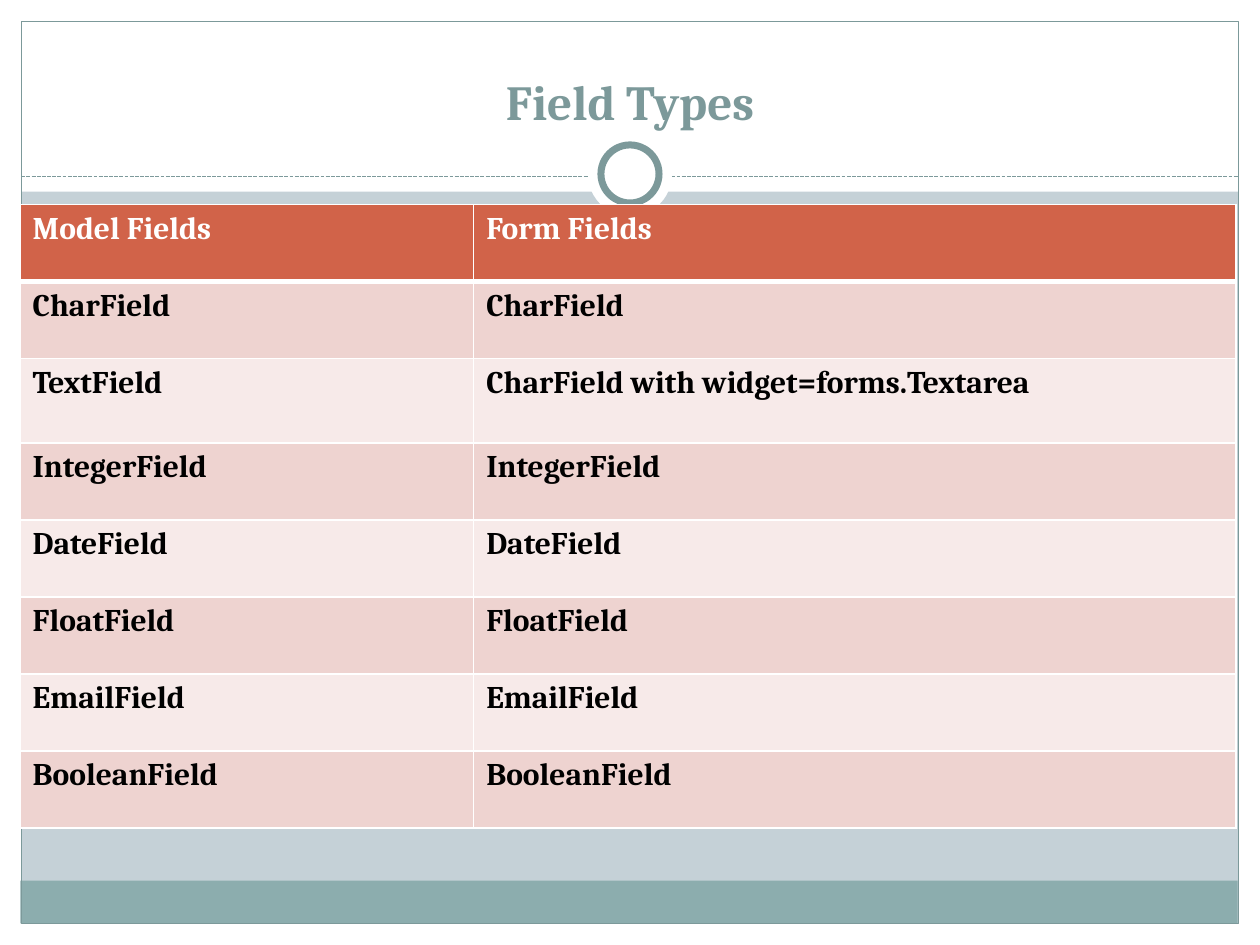
from dataclasses import dataclass
from typing import Optional

from lxml.etree import SubElement
from pptx import Presentation
from pptx.dml.color import RGBColor
from pptx.enum.dml import MSO_LINE
from pptx.enum.shapes import MSO_CONNECTOR, MSO_SHAPE
from pptx.enum.text import MSO_ANCHOR, PP_ALIGN
from pptx.oxml import parse_xml
from pptx.oxml.ns import nsdecls, qn
from pptx.util import Pt

WHITE, BLACK, TEAL, ACCENT = "FFFFFF", "000000", "7C999A", "D16349"
BACKDROP, FOOTER = "C5D1D7", "8CADAE"
BANDS = ("EED3D0", "F7EAE9")
WIDTH, HEIGHT, MARGIN = 720, 540, 12.2

COLUMN_WIDTHS = (259.2, 435.6)
ROW_HEIGHT, TALL_ROW_HEIGHT, TALL_ROW = 44, 48.4, 2
FIELD_TYPES = (
    ("Model Fields", "Form Fields"),
    ("CharField", "CharField"),
    ("TextField", "CharField with widget=forms.Textarea"),
    ("IntegerField", "IntegerField"),
    ("DateField", "DateField"),
    ("FloatField", "FloatField"),
    ("EmailField", "EmailField"),
    ("BooleanField", "BooleanField"),
)


@dataclass
class Panel:
    left: float
    top: float
    width: float
    height: float
    fill: Optional[str] = None
    line: Optional[str] = None
    line_width: float = 0.75
    kind: MSO_SHAPE = MSO_SHAPE.RECTANGLE


INNER_WIDTH = WIDTH - 2 * MARGIN
FRAME_PANELS = (
    Panel(0, HEIGHT - MARGIN, WIDTH, MARGIN, WHITE),
    Panel(0, 0, WIDTH, 109.5, WHITE),
    Panel(0, 0, MARGIN, HEIGHT, WHITE),
    Panel(WIDTH - MARGIN, 0, MARGIN, HEIGHT, WHITE),
    Panel(11.7, 503.2, INNER_WIDTH, 24.4, FOOTER),
    Panel(MARGIN, MARGIN, INNER_WIDTH, HEIGHT - 2 * MARGIN, line=TEAL),
)
RING_PANELS = (
    Panel(336, 75.6, 48, 48, WHITE, kind=MSO_SHAPE.OVAL),
    Panel(343.4, 82.8, 33.2, 33.2, WHITE, TEAL, 4, MSO_SHAPE.OVAL),
)


def color(hex_value: str) -> RGBColor:
    return RGBColor.from_string(hex_value)


def paint(fill, hex_value: str) -> None:
    fill.solid()
    fill.fore_color.rgb = color(hex_value)


def write(frame, text: str, *, size: float, ink: str, align=PP_ALIGN.LEFT,
          anchor=MSO_ANCHOR.TOP, font: str = "Cambria", bold: bool = True) -> None:
    frame.word_wrap = True
    frame.vertical_anchor = anchor
    paragraph = frame.paragraphs[0]
    paragraph.alignment = align
    run = paragraph.add_run()
    run.text = text
    run.font.name, run.font.size, run.font.bold = font, Pt(size), bold
    run.font.color.rgb = color(ink)


def draw_panel(slide, panel: Panel) -> None:
    shape = slide.shapes.add_shape(
        panel.kind, Pt(panel.left), Pt(panel.top), Pt(panel.width), Pt(panel.height))
    shape.shadow.inherit = False
    if panel.fill:
        paint(shape.fill, panel.fill)
    else:
        shape.fill.background()
    if panel.line:
        paint(shape.line.fill, panel.line)
        shape.line.width = Pt(panel.line_width)
    else:
        shape.line.fill.background()


def draw_divider(slide, y: float) -> None:
    divider = slide.shapes.add_connector(
        MSO_CONNECTOR.STRAIGHT, Pt(MARGIN), Pt(y), Pt(WIDTH - MARGIN), Pt(y))
    paint(divider.line.fill, TEAL)
    divider.line.width = Pt(0.75)
    divider.line.dash_style = MSO_LINE.SQUARE_DOT
    SubElement(divider._element.spPr, qn("a:effectLst"))


def set_borders(cell, top: float, bottom: float) -> None:
    """Give a cell white borders, 1 pt at the sides."""
    properties = cell._tc.get_or_add_tcPr()
    for position, (side, width) in enumerate(
            (("L", 1), ("R", 1), ("T", top), ("B", bottom))):
        properties.insert(position, parse_xml(
            f'<a:ln{side} {nsdecls("a")} w="{Pt(width)}"><a:solidFill>'
            f'<a:srgbClr val="{WHITE}"/></a:solidFill></a:ln{side}>'))


def draw_field_table(slide) -> None:
    heights = [TALL_ROW_HEIGHT if row == TALL_ROW else ROW_HEIGHT
               for row in range(len(FIELD_TYPES))]
    table = slide.shapes.add_table(
        len(FIELD_TYPES), len(COLUMN_WIDTHS), Pt(11.5), Pt(116.8),
        Pt(sum(COLUMN_WIDTHS)), Pt(sum(heights))).table
    for column, width in zip(table.columns, COLUMN_WIDTHS):
        column.width = Pt(width)
    for row, (fields, height) in enumerate(zip(FIELD_TYPES, heights)):
        table.rows[row].height = Pt(height)
        is_header = row == 0
        for column, field in enumerate(fields):
            cell = table.cell(row, column)
            paint(cell.fill, ACCENT if is_header else BANDS[(row - 1) % 2])
            set_borders(cell, top=3 if row == 1 else 1, bottom=3 if is_header else 1)
            write(cell.text_frame, field, size=18, ink=WHITE if is_header else BLACK)


def main() -> None:
    deck = Presentation()
    deck.slide_width, deck.slide_height = Pt(WIDTH), Pt(HEIGHT)
    slide = deck.slides.add_slide(deck.slide_layouts[6])
    paint(slide.background.fill, BACKDROP)

    for panel in FRAME_PANELS:
        draw_panel(slide, panel)
    draw_divider(slide, 100.8)
    for panel in RING_PANELS:
        draw_panel(slide, panel)

    title = slide.shapes.add_textbox(Pt(24), Pt(18), Pt(672), Pt(59.8))
    write(title.text_frame, "Field Types", size=28, ink=TEAL,
          align=PP_ALIGN.CENTER, anchor=MSO_ANCHOR.BOTTOM)
    draw_field_table(slide)
    deck.save("out.pptx")


if __name__ == "__main__":
    main()
